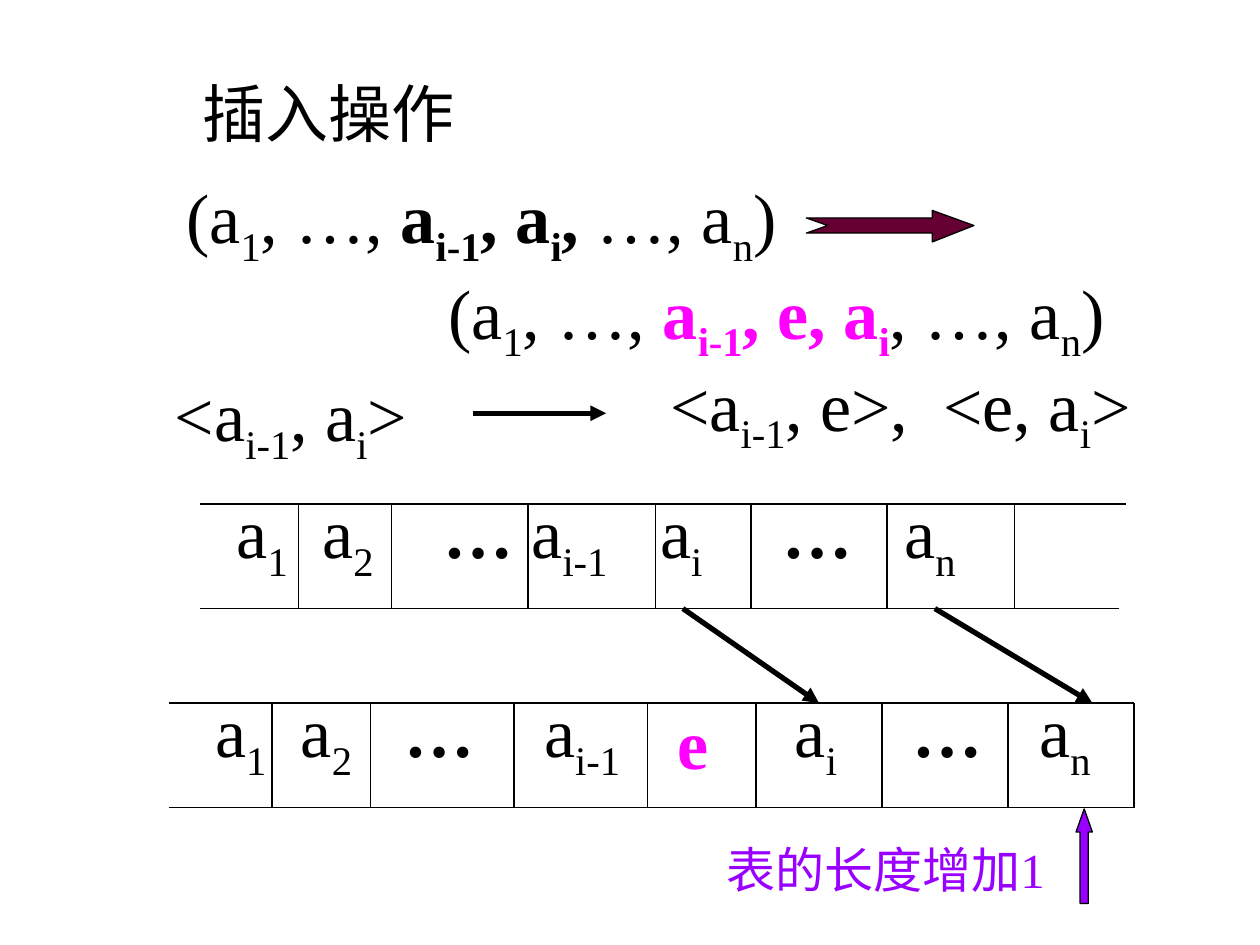
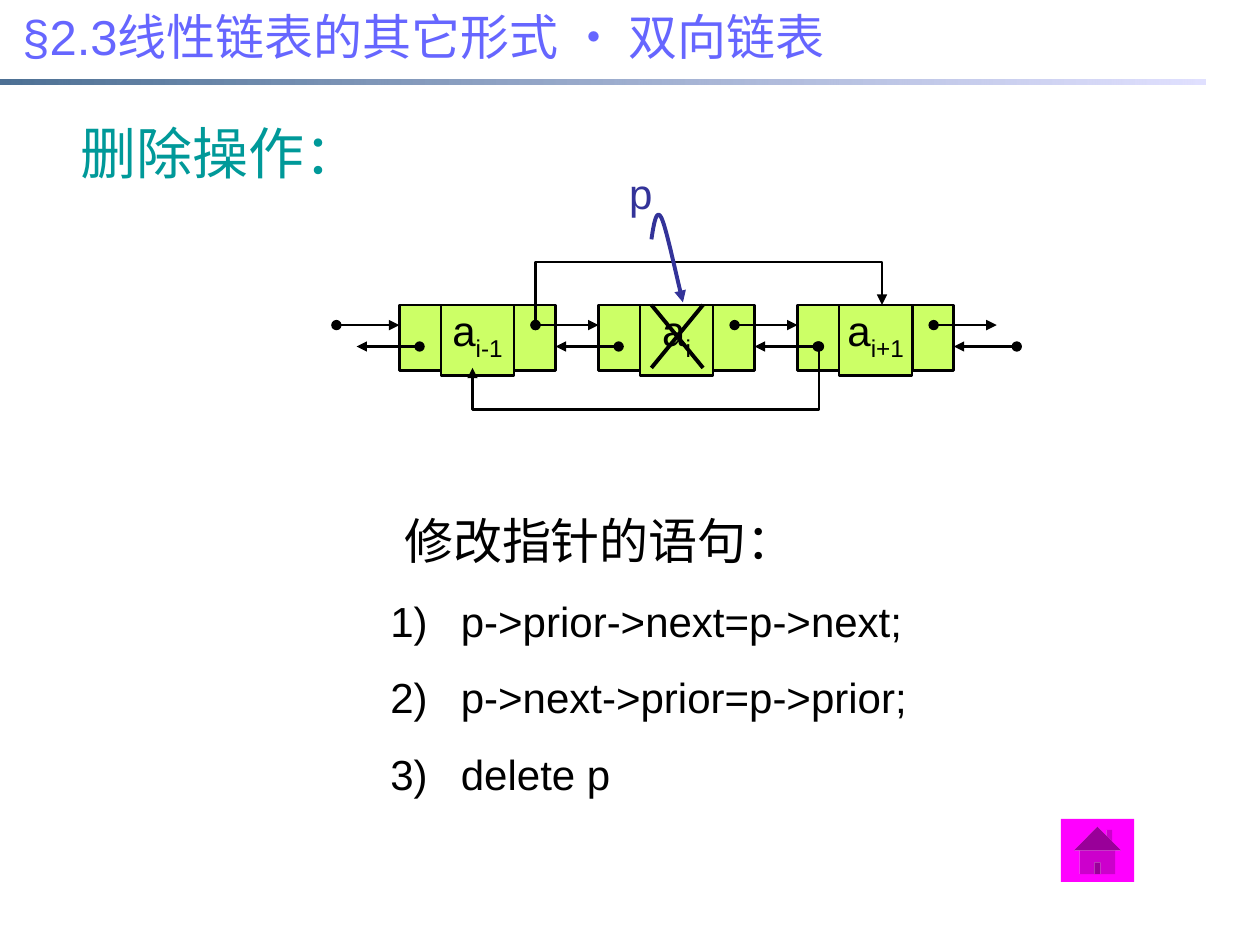
from lxml.etree import SubElement
from pptx import Presentation
from pptx.dml.color import RGBColor
from pptx.enum.shapes import MSO_CONNECTOR, MSO_SHAPE
from pptx.enum.text import MSO_ANCHOR, PP_ALIGN
from pptx.oxml.ns import qn
from pptx.util import Inches, Pt

STRAIGHT = MSO_CONNECTOR.STRAIGHT
RECTANGLE = MSO_SHAPE.RECTANGLE
UP_ARROW = MSO_SHAPE.UP_ARROW
HOME_BUTTON = MSO_SHAPE.ACTION_BUTTON_HOME
TOP = MSO_ANCHOR.TOP
LEFT, CENTER = PP_ALIGN.LEFT, PP_ALIGN.CENTER

BLACK, MAGENTA, PURPLE, MAROON = "000000", "FF00FF", "9900FF", "660033"
NAVY, TEAL, PERIWINKLE, LIME = "333399", "009999", "6666FF", "CCFF66"
SERIF, SANS = "Times New Roman", "Arial"
PADDING = (0.1, 0.05, 0.1, 0.05)
NO_PADDING = (0, 0, 0, 0)


def color(value):
    """Turn a hex string into a colour."""
    return RGBColor.from_string(value)


class Painter:
    """Draw styled elements on the current page of a deck."""

    def __init__(self, deck):
        """Remember the deck and its blank layout."""
        self.deck = deck
        self.layout = deck.slide_layouts[6]
        self.page = None
        self.font = SANS

    def new_page(self, font):
        """Start a page with its main font."""
        self.page = self.deck.slides.add_slide(self.layout)
        self.font = font

    def add_spans(self, para, spans, size, tint=BLACK, font=None):
        """Add runs to a paragraph; text between bars is subscript."""
        if isinstance(spans, str):
            spans = [(spans, tint, False)]
        for text, span_tint, bold in spans:
            for index, piece in enumerate(text.split("|")):
                if not piece:
                    continue
                span = para.add_run()
                span.text = piece
                span.font.name = font or self.font
                span.font.size = Pt(size)
                span.font.bold = bold
                span.font.color.rgb = color(span_tint)
                if index % 2:
                    span.font._element.set("baseline", "-25000")

    def prepare(self, frame, padding):
        """Set wrapping, anchor and insets of a text frame."""
        frame.word_wrap = True
        frame.vertical_anchor = TOP
        (frame.margin_left, frame.margin_top,
         frame.margin_right, frame.margin_bottom) = map(Inches, padding)

    def text(self, place, paragraphs, size, tint=BLACK, align=LEFT,
             font=None, padding=PADDING):
        """Add a text box and return its paragraphs."""
        box = self.page.shapes.add_textbox(*map(Inches, place))
        frame = box.text_frame
        self.prepare(frame, padding)
        for index, spans in enumerate(paragraphs):
            para = frame.add_paragraph() if index else frame.paragraphs[0]
            para.alignment = align
            self.add_spans(para, spans, size, tint, font)
        return frame.paragraphs

    def indent(self, para, left, first=0):
        """Set the left margin and first-line indent of a paragraph."""
        properties = para._p.get_or_add_pPr()
        properties.set("marL", str(Inches(left)))
        properties.set("indent", str(Inches(first)))

    def number(self, para):
        """Give a paragraph an automatic number such as 1)."""
        self.indent(para, 0.56, -0.56)
        para.space_before = Pt(15)
        properties = para._p.get_or_add_pPr()
        SubElement(properties, qn("a:buFont"), typeface=SANS)
        SubElement(properties, qn("a:buAutoNum"), type="arabicParenR")

    def stroke(self, item, width, tint=BLACK, head=None, tail=None):
        """Set line colour, width and line ends."""
        item.line.color.rgb = color(tint)
        item.line.width = Pt(width)
        outline = item.line._get_or_add_ln()
        for tag, kind in (("a:headEnd", head), ("a:tailEnd", tail)):
            if kind:
                SubElement(outline, qn(tag), type=kind)

    def line(self, x1, y1, x2, y2, width=0.75, head=None, tail=None):
        """Add a straight connector."""
        ends = map(Inches, (x1, y1, x2, y2))
        connector = self.page.shapes.add_connector(STRAIGHT, *ends)
        self.stroke(connector, width, head=head, tail=tail)
        SubElement(connector._element.spPr, qn("a:effectLst"))

    def shape(self, kind, place, fill, width=None):
        """Add a preset shape, outlined when a width is given."""
        shape = self.page.shapes.add_shape(kind, *map(Inches, place))
        shape.shadow.inherit = False
        shape.fill.solid()
        shape.fill.fore_color.rgb = color(fill)
        if width:
            self.stroke(shape, width)
        else:
            shape.line.fill.background()
        return shape

    def outline(self, points, width, tint=BLACK, fill=None, head=None, tail=None):
        """Add a freeform, closed when it has a fill."""
        corners = [(Inches(x), Inches(y)) for x, y in points]
        builder = self.page.shapes.build_freeform(*corners[0])
        builder.add_line_segments(corners[1:], close=bool(fill))
        shape = builder.convert_to_shape()
        shape.shadow.inherit = False
        if fill:
            shape.fill.solid()
            shape.fill.fore_color.rgb = color(fill)
        else:
            shape.fill.background()
        self.stroke(shape, width, tint, head, tail)

    def array(self, top, left, top_right, bottom_right, dividers, labels):
        """Draw a row of array cells with their labels."""
        bottom = top + 0.83
        self.line(left, top, top_right, top)
        self.line(left, bottom, bottom_right, bottom)
        for x in dividers:
            self.line(x, top, x, bottom)
        for x, label, tint in labels:
            bold = label in ("…", "e")
            y = top - (0.08 if label == "e" else 0.17)
            self.text((x, y, 1.1, 0.86), [[(label, tint, bold)]], 40)

    def node(self, left, label):
        """Draw a list node with two pointer fields."""
        field, data = 0.33, 0.58
        for x in (left, left + field + data):
            self.shape(RECTANGLE, (x, 2.42, field, 0.52), LIME, 1.5)
        place = (left + field, 2.42, data, 0.56)
        box = self.shape(RECTANGLE, place, LIME, 1.5)
        self.prepare(box.text_frame, (0, 0, 0, 0.1))
        para = box.text_frame.paragraphs[0]
        para.alignment = CENTER
        self.add_spans(para, label, 24)

    def header(self, title):
        """Draw the section title and its fading band."""
        band = self.shape(RECTANGLE, (0, 0.63, 9.57, 0.04), NAVY)
        band.fill.gradient()
        band.fill.gradient_angle = 0
        fade = (("003366", 0, 70), ("CCCCFF", 1, 60))
        for stop, (tint, position, opacity) in zip(band.fill.gradient_stops, fade):
            stop.color.rgb = color(tint)
            stop.position = position
            value = stop._gs.find(qn("a:srgbClr"))
            SubElement(value, qn("a:alpha"), val=str(opacity * 1000))
        self.text((0.08, 0, 9.92, 0.57), [title], 28, PERIWINKLE)


def curve(start, first, second, end, steps=12):
    """Return points along a cubic curve."""
    points = []
    for step in range(steps + 1):
        t = step / steps
        weights = ((1 - t) ** 3, 3 * t * (1 - t) ** 2, 3 * t * t * (1 - t), t ** 3)
        points.append(tuple(
            sum(weight * value for weight, value in zip(weights, axis))
            for axis in zip(start, first, second, end)))
    return points


def insertion(painter):
    """Build the page on inserting an element."""
    painter.new_page(SERIF)
    title = painter.text((1.27, 0.42, 2.67, 0.82), ["插入操作"], 36,
                         align=CENTER, font=SANS)
    title[0].line_spacing = 1.2
    before = [("(a|1|, …, ", BLACK, False), ("a|i-1|, a|i|, ", BLACK, True),
              ("…, a|n|)", BLACK, False)]
    after = [("(a|1|, …, ", BLACK, False), ("a|i-1|, e, a|i|", MAGENTA, True),
             (", …, a|n|)", BLACK, False)]
    formulas = painter.text((1.24, 1.33, 7.9, 1.62), [before, after], 40)
    painter.indent(formulas[0], 0.14)
    painter.indent(formulas[1], 2.22)
    painter.outline([(6.4, 1.73), (7.4, 1.73), (7.4, 1.67), (7.73, 1.79),
                     (7.4, 1.92), (7.4, 1.85), (6.4, 1.85), (6.57, 1.79)],
                    0.75, fill=MAROON)
    for x, y, pair in ((1.29, 2.9, "<a|i-1|, a|i|>"), (5.22, 2.82, "<a|i-1|, e>,"),
                       (7.39, 2.82, "<e, a|i|>")):
        painter.text((x, y, 2.2, 0.86), [pair], 40)
    painter.line(3.75, 3.28, 4.81, 3.28, 3, tail="triangle")

    painter.array(4, 1.59, 8.94, 8.88, (2.37, 3.11, 4.19, 5.2, 5.96, 7.04, 8.05), (
        (1.78, "a|1|", BLACK), (2.46, "a|2|", BLACK), (3.42, "…", BLACK),
        (4.12, "a|i-1|", BLACK), (5.14, "a|i|", BLACK), (6.11, "…", BLACK),
        (7.08, "a|n|", BLACK)))
    painter.array(5.58, 1.34, 9, 9, (2.16, 2.94, 4.08, 5.14, 6, 7, 8, 9), (
        (1.61, "a|1|", BLACK), (2.29, "a|2|", BLACK), (3.11, "…", BLACK),
        (4.22, "a|i-1|", BLACK), (5.28, "e", MAGENTA), (6.21, "a|i|", BLACK),
        (7.14, "…", BLACK), (8.15, "a|n|", BLACK)))
    for start, end in ((5.42, 6.5), (7.42, 8.67)):
        painter.line(start, 4.83, end, 5.58, 3, tail="triangle")

    arrow = painter.shape(UP_ARROW, (8.54, 6.42, 0.13, 0.75), PURPLE, 0.75)
    arrow.adjustments[0], arrow.adjustments[1] = 0.5, 1.41
    painter.text((5.67, 6.61, 2.9, 0.57), ["表的长度增加1"], 28, PURPLE)


def deletion(painter):
    """Build the page on deleting a node."""
    painter.new_page(SANS)
    painter.header("§2.3线性链表的其它形式 • 双向链表")
    painter.text((0.42, 0.89, 2.67, 0.64), ["删除操作："], 32, TEAL, CENTER)

    first_node, pitch = 3.17, 1.58
    for index, label in enumerate(("a|i-1|", "a|i|", "a|i+1|")):
        painter.node(first_node + index * pitch, label)
    for index in range(4):
        shift = index * pitch
        for start, end, y in ((2.67, 3.17, 2.58), (3.33, 2.83, 2.75)):
            painter.line(start + shift, y, end + shift, y, 1.5, "oval", "triangle")
    for start, end in ((2.42, 2.92), (2.92, 2.42)):
        painter.line(5.17, start, 5.58, end, 2.25)
    for route in ([(4.25, 2.58), (4.25, 2.08), (7, 2.08), (7, 2.42)],
                  [(6.5, 2.75), (6.5, 3.25), (3.75, 3.25), (3.75, 2.92)]):
        painter.outline(route, 1.5, head="oval", tail="triangle")

    painter.text((4.92, 1.33, 0.33, 0.4), ["p"], 24, NAVY, CENTER, padding=NO_PADDING)
    pointer = curve((5.17, 1.9), (5.19, 1.77), (5.21, 1.65), (5.25, 1.73))
    pointer += curve((5.25, 1.73), (5.29, 1.82), (5.35, 2.11), (5.42, 2.4))[1:]
    painter.outline(pointer, 2.25, NAVY, tail="triangle")

    statements = painter.text((3, 4, 5.33, 2.39), [
        [], "p->prior->next=p->next;", "p->next->prior=p->prior;", "delete p"], 24)
    painter.add_spans(statements[0], "修改指针的语句：", 28)
    painter.indent(statements[0], 0.11)
    for para in statements[1:]:
        painter.number(para)
    painter.shape(HOME_BUTTON, (8.42, 6.5, 0.58, 0.5), MAGENTA)


def main():
    """Build and save the deck."""
    deck = Presentation()
    deck.slide_width, deck.slide_height = Inches(10), Inches(7.5)
    painter = Painter(deck)
    insertion(painter)
    deletion(painter)
    deck.save("out.pptx")


if __name__ == "__main__":
    main()
